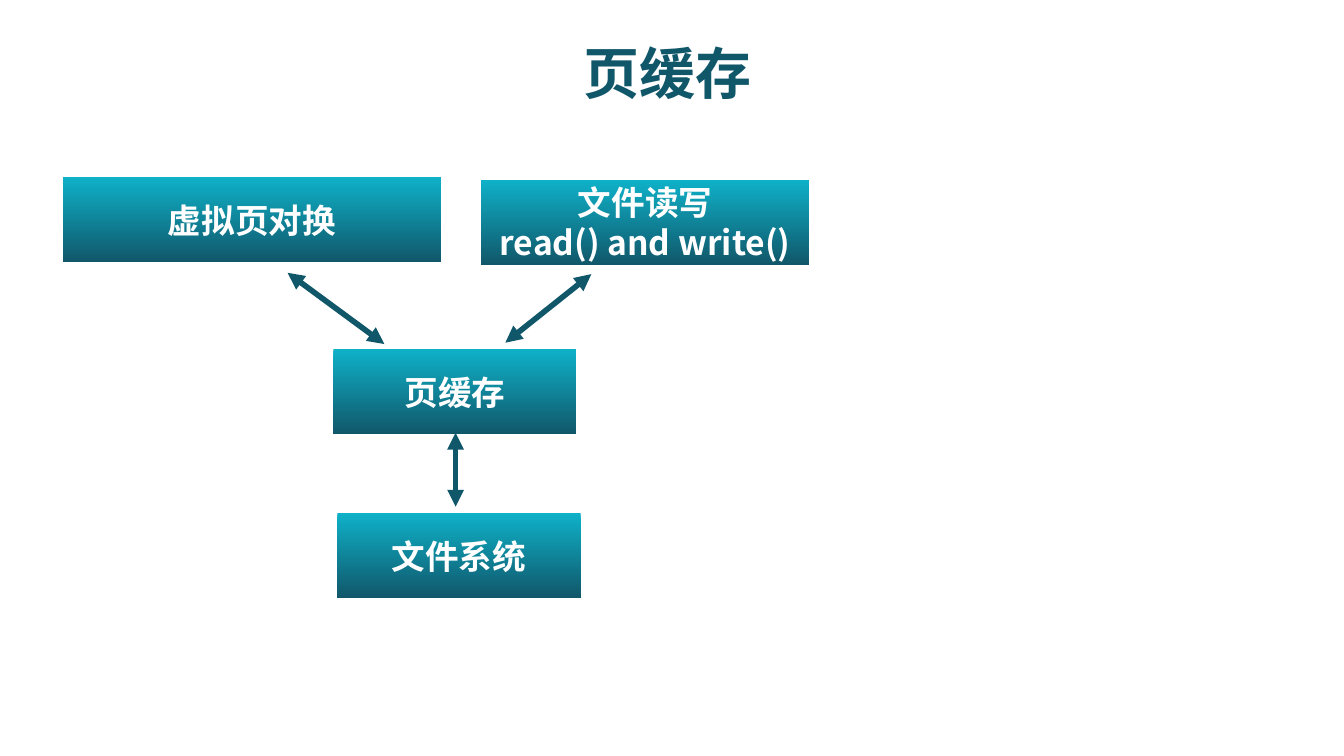
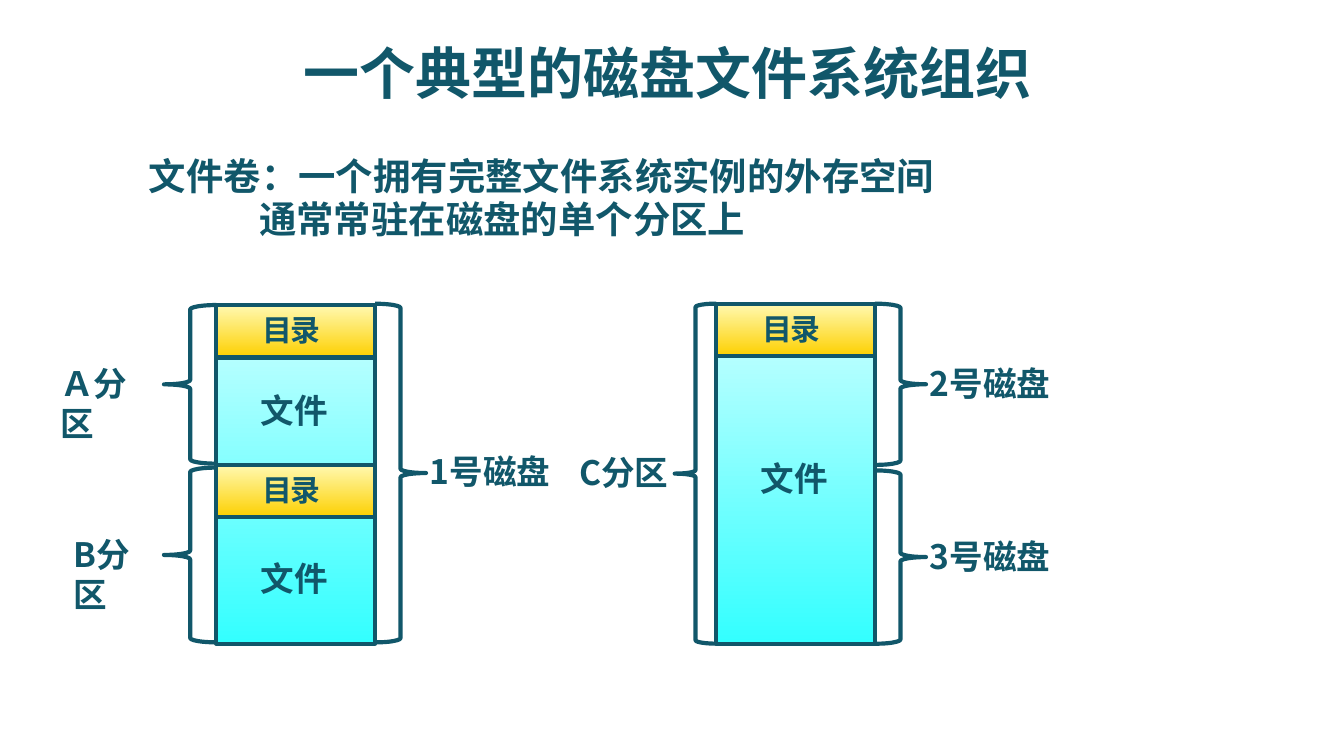
from lxml.etree import SubElement
from pptx import Presentation
from pptx.dml.color import RGBColor
from pptx.enum.shapes import MSO_CONNECTOR, MSO_SHAPE
from pptx.enum.text import MSO_ANCHOR, PP_ALIGN
from pptx.oxml.ns import qn
from pptx.util import Inches, Pt

FONT = "Noto Sans CJK SC"
INK, WHITE = "11576A", "FFFFFF"
TEAL = ("0EB1C8", INK)
AQUA = ("CCFFFF", "33FFFF")
GOLD = ("FFF9B1", "FDD000")
LEFT, MID = PP_ALIGN.LEFT, PP_ALIGN.CENTER

# Grid: 100 columns across a 16:9 slide, square cells
WIDE, COLS = 10, 100
HIGH = WIDE * 9 / 16


def cell(n):
    return Inches(n * WIDE / COLS)


def rgb(code):
    return RGBColor.from_string(code)


def put(slide, box, lines, size=18, color=INK, align=MID, wrap=False,
        lead=1.2, space=0, indents=()):
    """Text box with one run to each line."""
    frame = slide.shapes.add_textbox(*map(cell, box)).text_frame
    frame.word_wrap = wrap
    for i, line in enumerate(lines):
        para = frame.paragraphs[0] if i == 0 else frame.add_paragraph()
        para.alignment = align
        if lead:
            para.line_spacing = Pt(size * lead)
        if indents:
            para._p.get_or_add_pPr().set("marL", str(cell(indents[i])))
        run = para.add_run()
        run.text = line
        font = run.font
        font.size, font.bold, font.name = Pt(size), True, FONT
        font.color.rgb = rgb(color)
        props = run._r.get_or_add_rPr()
        SubElement(props, qn("a:ea")).set("typeface", FONT)
        if space:
            props.set("spc", str(space))
    return frame


def shape(slide, kind, box, blend=None, line=None):
    """Preset shape with an optional vertical blend and outline."""
    item = slide.shapes.add_shape(kind, *map(cell, box))
    item.shadow.inherit = False
    if blend:
        item.fill.gradient()
        item.fill.gradient_angle = 270
        for stop, code in zip(item.fill.gradient_stops, blend):
            stop.color.rgb = rgb(code)
    else:
        item.fill.background()
    if line:
        item.line.color.rgb = rgb(line)
        item.line.width = Pt(2.25)
    else:
        item.line.fill.background()


def arrow(slide, start, end):
    """Line with a head at both ends."""
    item = slide.shapes.add_connector(
        MSO_CONNECTOR.STRAIGHT, *map(cell, start + end))
    item.line.color.rgb = rgb(INK)
    item.line.width = Pt(3)
    SubElement(item._element.spPr, qn("a:effectLst"))
    line = item.line._get_or_add_ln()
    for tag in ("a:headEnd", "a:tailEnd"):
        SubElement(line, qn(tag)).set("type", "triangle")


def page(deck, title):
    """Blank slide with the shared title."""
    slide = deck.slides.add_slide(deck.slide_layouts[6])
    frame = put(slide, (4.7, 2.6, 90, 5.6), [title], 30, wrap=True, lead=None)
    frame.vertical_anchor = MSO_ANCHOR.MIDDLE
    return slide


def node(slide, box, lines, wide):
    """Blended block with its text centred on it."""
    x, y, w, h = box
    tall = 3 * len(lines) + 1
    shape(slide, MSO_SHAPE.RECTANGLE, box, TEAL)
    put(slide, (x + (w - wide) / 2, y + (h - tall) / 2, wide, tall),
        lines, color=WHITE)


def brace(slide, col, side, top, tall, deep, label, wide, wrap=True):
    """Brace beside a column, with a label at its tip."""
    x, y, w, _ = col
    right = side == "right"
    kind = MSO_SHAPE.RIGHT_BRACE if right else MSO_SHAPE.LEFT_BRACE
    edge = x + w if right else x - deep
    shape(slide, kind, (edge, y + top, deep, tall), line=INK)
    lap = 0.7
    start = edge + deep - lap if right else edge + lap - wide
    put(slide, (start, y + top + tall / 2 - 2.1, wide, 4), [label],
        align=LEFT, wrap=wrap)


def disk(slide, col, dirs, files, braces):
    """Column of files, with directory bands and braces."""
    x, y, w, _ = col
    shape(slide, MSO_SHAPE.RECTANGLE, col, AQUA, INK)
    for top in dirs:
        shape(slide, MSO_SHAPE.RECTANGLE, (x, y + top, w, 3.9), GOLD, INK)
        put(slide, (x + 2.4, y + top, 6.4, 3.7), ["目录"], 16, space=-100)
    for top in files:
        put(slide, (x + 2.2, y + top, 7.2, 4), ["文件"])
    for part in braces:
        brace(slide, col, *part)


def cache(deck):
    slide = page(deck, "页缓存")
    # Blocks
    node(slide, (4.7, 13.2, 28.1, 6.3), ["虚拟页对换"], 14.6)
    node(slide, (35.8, 13.4, 24.4, 6.3),
         ["文件读写", "read() and write()"], 24.4)
    node(slide, (24.8, 26, 18.1, 6.3), ["页缓存"], 9.6)
    node(slide, (25.1, 38.2, 18.1, 6.3), ["文件系统"], 12.1)
    # Links
    for start, end in (((21.4, 20.3), (28.6, 25.6)),
                       ((37.6, 25.5), (44, 20.4)),
                       ((33.9, 32.2), (33.9, 37.7))):
        arrow(slide, start, end)


def layout(deck):
    slide = page(deck, "一个典型的磁盘文件系统组织")
    # Definition
    put(slide, (10.1, 11, 76.9, 4.7),
        ["文件卷：一个拥有完整文件系统实例的外存空间",
         "通常常驻在磁盘的单个分区上"],
        20, align=LEFT, wrap=True, lead=1.16, indents=(0, 8.2))
    # One disk with two partitions
    disk(slide, (16.1, 22.7, 11.8, 25.2), (0, 11.9), (5.8, 18.3),
         (("right", -0.1, 25.2, 3.8, "1号磁盘", 11.1),
          ("left", 0, 11.8, 3.9, "Ａ分区", 9.4, False),
          ("left", 12.1, 13, 3.9, "B分区", 8.4)))
    # One partition over two disks
    disk(slide, (53.3, 22.6, 11.8, 25.3), (0,), (11,),
         (("right", 0, 12, 3.8, "2号磁盘", 11.1),
          ("right", 12.4, 12.9, 3.8, "3号磁盘", 11.1),
          ("left", 0, 25.3, 3.1, "C分区", 8.8)))


def main():
    deck = Presentation()
    deck.slide_width, deck.slide_height = Inches(WIDE), Inches(HIGH)
    cache(deck)
    layout(deck)
    deck.save("out.pptx")


if __name__ == "__main__":
    main()
